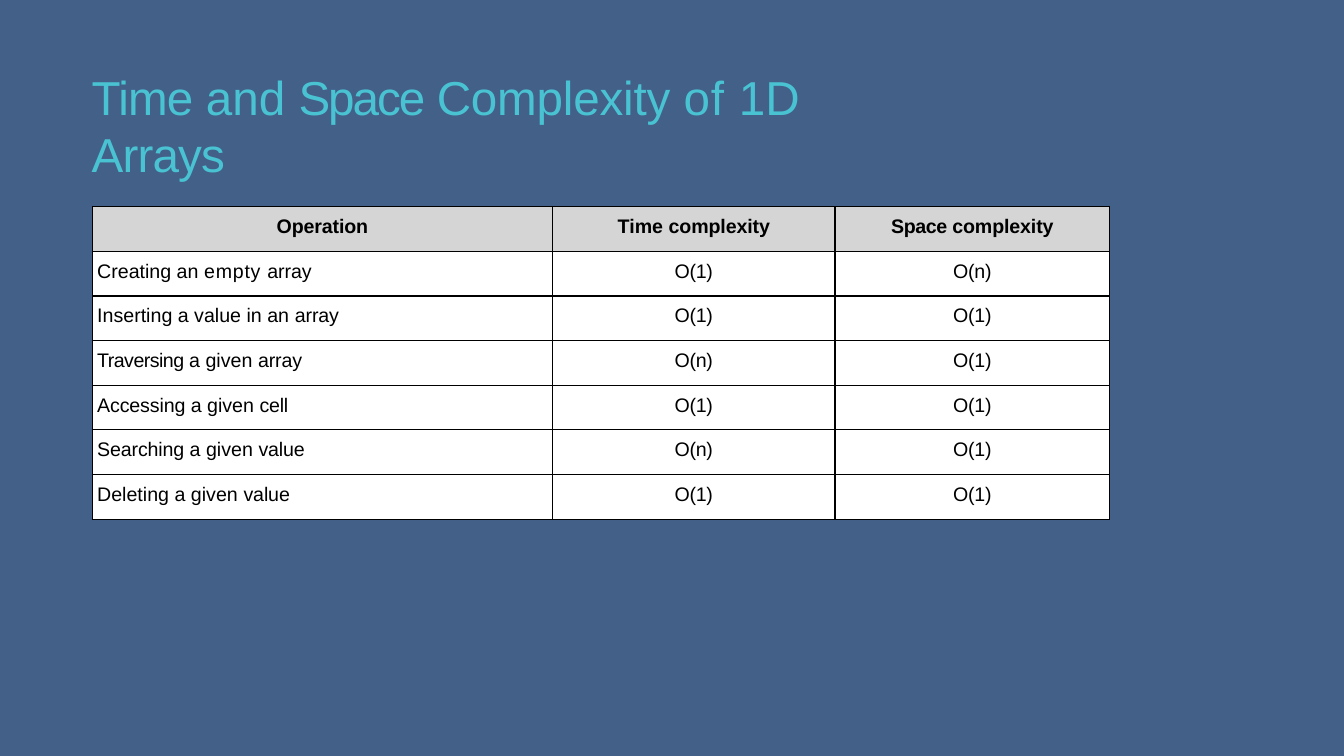
from pptx import Presentation
from pptx.dml.color import RGBColor as RGB
from pptx.enum.text import MSO_ANCHOR as Anchor, MSO_AUTO_SIZE as Auto, PP_ALIGN as Align
from pptx.oxml import parse_xml
from pptx.oxml.ns import nsdecls
from pptx.util import Pt

INK = {"back": "436089", "title": "49C3D2", "text": "000000",
       "head": "D6D5D5", "cell": "FFFFFF", "line": "000000"}
TITLE = [("Time ", -0.5), ("and ", 0), ("Space ", -1.4), ("Complexity ", -0.1),
         ("of ", 0.6), ("1D ", 0), ("Arrays", -0.6)]
HEADS = [[("Operation", -0.1)],
         [("Time ", 0), ("complexity", -0.1)],
         [("Space ", -0.3), ("complexity", -0.1)]]
COSTS = [
    ([("Creating an ", 0), ("empty ", 0.5), ("array", -0.1)], "O(1)", "O(n)"),
    ([("Inserting a value in an ", 0), ("array", -0.1)], "O(1)", "O(1)"),
    ([("Traversing ", -0.4), ("a given ", 0), ("array", -0.1)], "O(n)", "O(1)"),
    ([("Accessing ", -0.1), ("a given ", 0), ("cell", -0.2)], "O(1)", "O(1)"),
    ([("Searching ", -0.1), ("a given ", 0), ("value", -0.1)], "O(n)", "O(1)"),
    ([("Deleting a given ", 0), ("value", -0.1)], "O(1)", "O(1)"),
]
WIDTHS = [329, 201.6, 196.4]
ROW = 31.9


def setup(item, **values):
    for name, value in values.items():
        setattr(item, name, value)


def write(para, parts, color, **style):
    """Add runs, each with its own letter spacing in points."""
    for text, space in parts:
        run = para.add_run()
        run.text = text
        setup(run.font, name="Arial", **style)
        run.font.color.rgb = RGB.from_string(INK[color])
        run.font._element.set("spc", str(round(space * 100)))


def add_title(slide):
    title = slide.shapes.title
    setup(title, left=Pt(65.5), top=Pt(47.5), width=Pt(602), height=Pt(42))
    frame = title.text_frame
    setup(frame, margin_left=0, margin_top=Pt(0.8), margin_right=0, margin_bottom=0,
          word_wrap=True, auto_size=Auto.SHAPE_TO_FIT_TEXT, vertical_anchor=Anchor.TOP)
    para = frame.paragraphs[0]
    para.alignment = Align.LEFT
    write(para, TITLE, "title", size=Pt(34))


def add_borders(cell):
    props = cell._tc.get_or_add_tcPr()
    for side in "LRTB":
        props.append(parse_xml(
            f'<a:ln{side} {nsdecls("a")} w="{Pt(1)}"><a:solidFill>'
            f'<a:srgbClr val="{INK["line"]}"/></a:solidFill></a:ln{side}>'))


def fill_cell(cell, parts, fill, align, bold):
    left = Pt(3.6) if align == Align.LEFT else 0
    setup(cell, margin_left=left, margin_top=Pt(6.5), margin_right=0, margin_bottom=0)
    add_borders(cell)
    cell.fill.solid()
    cell.fill.fore_color.rgb = RGB.from_string(INK[fill])
    para = cell.text_frame.paragraphs[0]
    para.alignment = align
    write(para, parts, "text", size=Pt(14), bold=bold)


def add_costs(slide):
    count = len(COSTS) + 1
    table = slide.shapes.add_table(count, len(WIDTHS), Pt(65.8), Pt(147.6),
                                   Pt(sum(WIDTHS)), Pt(ROW * count)).table
    setup(table, first_row=True, horz_banding=False)
    for col, width in zip(table.columns, WIDTHS):
        col.width = Pt(width)
    for row in table.rows:
        row.height = Pt(ROW)
    for col, parts in enumerate(HEADS):
        fill_cell(table.cell(0, col), parts, "head", Align.CENTER, True)
    for row, (task, *costs) in enumerate(COSTS, 1):
        fill_cell(table.cell(row, 0), task, "cell", Align.LEFT, False)
        for col, cost in enumerate(costs, 1):
            fill_cell(table.cell(row, col), [(cost, -0.2)], "cell", Align.CENTER, False)


def main():
    deck = Presentation()
    setup(deck, slide_width=Pt(960), slide_height=Pt(540))
    slide = deck.slides.add_slide(deck.slide_layouts[5])
    back = slide.background.fill
    back.solid()
    back.fore_color.rgb = RGB.from_string(INK["back"])
    add_title(slide)
    add_costs(slide)
    deck.save("out.pptx")


if __name__ == "__main__":
    main()
